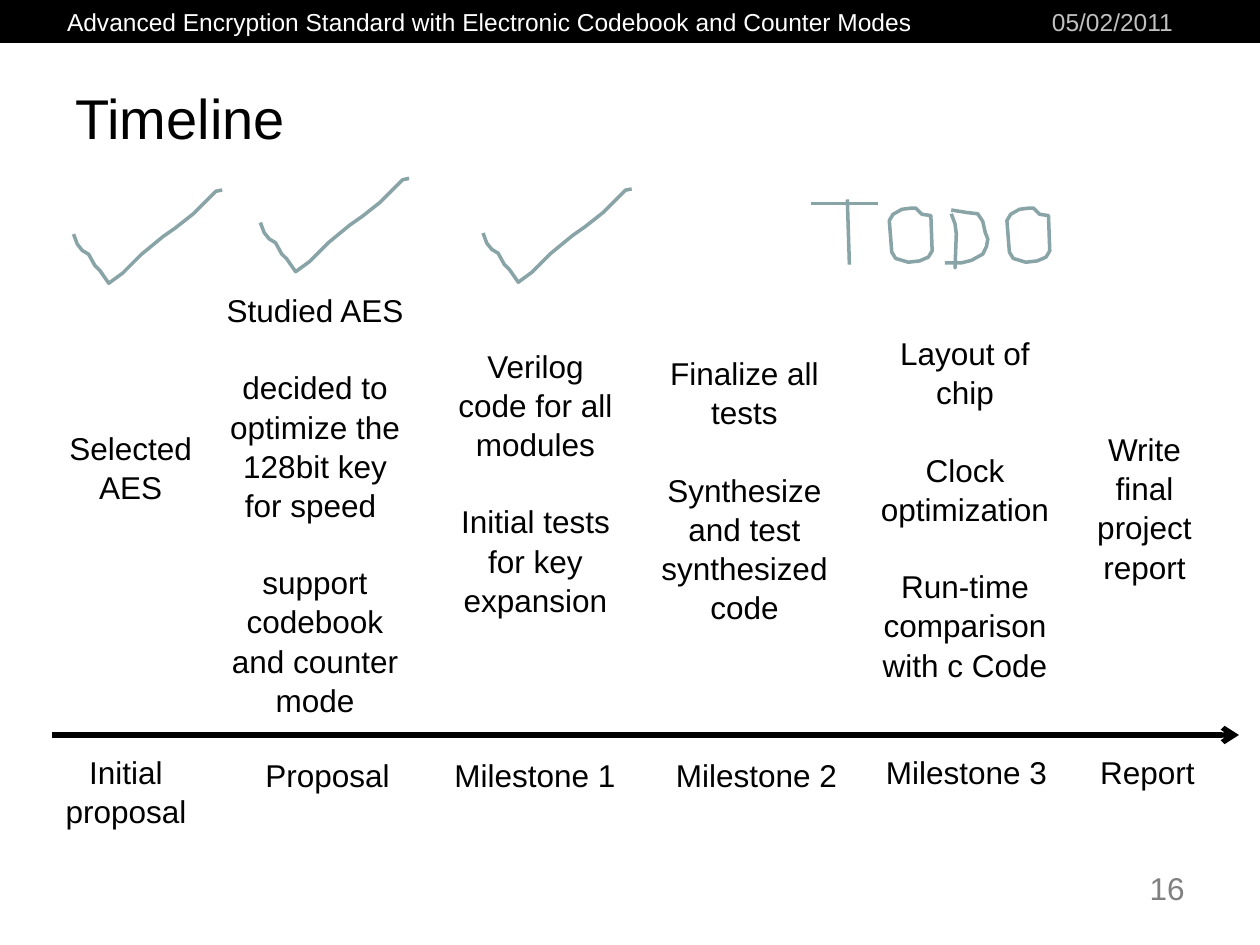
from lxml.etree import SubElement
from pptx import Presentation
from pptx.dml.color import RGBColor
from pptx.enum.shapes import MSO_CONNECTOR as Connector, MSO_SHAPE as Preset
from pptx.enum.text import MSO_ANCHOR as Anchor, MSO_AUTO_SIZE as AutoSize, PP_ALIGN as Align
from pptx.oxml.ns import qn
from pptx.util import Inches, Pt

COLORS = {"black": "000000", "white": "FFFFFF", "date": "C0C0C0",
          "number": "808080", "ink": "89A4A7"}

# Grid of 120 columns by 90 rows
WIDTH, HEIGHT = Inches(10), Inches(7.5)
COL, ROW = WIDTH / 120, HEIGHT / 90
HUNDREDTH = Inches(0.01)
LINE_SPACING = 1.04
BLANK_LINE = Pt(21.6)

# Step label: text, column, row, width
STEPS = [("Proposal", 24.1, 71.3, 14.2), ("Milestone 1", 42.1, 71.3, 17.8),
         ("Milestone 2", 63.2, 71.3, 17.8), ("Milestone 3", 83.2, 71, 17.8),
         ("Report", 103.6, 71, 11.4)]

# Work done: paragraphs, column, row, width, height
TASKS = [
    (["Initial proposal"], 5, 71, 14, 8.4),
    (["Selected AES"], 5, 40.1, 14.9, 8.4),
    (["Studied AES ", "decided to optimize the 128bit key for speed ",
      "support codebook and counter mode"], 20, 27, 20, 40.8),
    (["Verilog code for all modules", "Initial tests for key expansion"],
     42, 32.3, 18, 26.4),
    (["Finalize all tests", "Synthesize and test synthesized code"],
     61, 33, 19.8, 26.4),
    (["Layout of chip", "Clock optimization", "Run-time comparison with c Code"],
     82, 31.1, 19.8, 33.6),
    (["Write final project report"], 102, 40.2, 14, 15.6),
]

# Handwritten strokes, in hundredths of an inch
CHECK = [(0, 35), (3, 43), (7, 48), (12, 51), (17, 60), (21, 64), (28, 74), (39, 66),
         (49, 56), (54, 51), (71, 37), (81, 30), (95, 19), (108, 6), (113, 1), (118, 0)]
LETTER_O = [(18, 1), (10, 2), (3, 6), (0, 11), (2, 36), (5, 41), (15, 44),
            (24, 43), (31, 40), (34, 35), (33, 7), (26, 6), (21, 1), (18, 1)]
D_STEM = [(5, 3), (8, 11), (9, 19), (8, 46), (8, 41)]
D_BOWL = [(5, 0), (17, 2), (26, 3), (30, 9), (32, 18), (34, 23), (33, 29),
          (30, 35), (21, 40), (13, 42), (0, 42)]
STROKES = [(CHECK, 7, 18.1), (CHECK, 24.8, 17), (CHECK, 46, 18),
           (LETTER_O, 84.7, 19.7), (D_STEM, 90, 20), (D_BOWL, 90, 20),
           (LETTER_O, 95.9, 19.7)]


def rgb(name):
    return RGBColor.from_string(COLORS[name])


def apply(target, values):
    for name, value in values.items():
        setattr(target, name, value)


def add_text(slide, paragraphs, col, row, width, height, size=18, color="black",
             align=Align.LEFT, **frame_format):
    box = slide.shapes.add_textbox(round(col * COL), round(row * ROW),
                                   round(width * COL), round(height * ROW))
    frame = box.text_frame
    apply(frame, {"word_wrap": True, "auto_size": AutoSize.NONE, **frame_format})
    for index, text in enumerate(paragraphs):
        paragraph = frame.add_paragraph() if index else frame.paragraphs[0]
        apply(paragraph, {"alignment": align, "line_spacing": LINE_SPACING,
                          "space_before": BLANK_LINE if index else Pt(0)})
        run = paragraph.add_run()
        run.text = text
        apply(run.font, {"name": "Arial", "size": Pt(size)})
        run.font.color.rgb = rgb(color)


def add_line(slide, start, end, color, width, arrow=False):
    (x1, y1), (x2, y2) = start, end
    line = slide.shapes.add_connector(Connector.STRAIGHT, round(x1 * COL), round(y1 * ROW),
                                      round(x2 * COL), round(y2 * ROW))
    line.line.width = Pt(width)
    line.line.color.rgb = rgb(color)
    if arrow:
        SubElement(line.line._get_or_add_ln(), qn("a:tailEnd"), type="arrow")
    SubElement(line._element.spPr, qn("a:effectLst"))


def add_stroke(slide, points, col, row):
    builder = slide.shapes.build_freeform(*points[0], scale=HUNDREDTH)
    builder.add_line_segments(points[1:], close=points[0] == points[-1])
    stroke = builder.convert_to_shape(round(col * COL), round(row * ROW))
    stroke.shadow.inherit = False
    stroke.fill.background()
    stroke.line.width = Pt(2)
    stroke.line.color.rgb = rgb("ink")


def add_header(slide):
    band = slide.shapes.add_shape(Preset.RECTANGLE, 0, 0, WIDTH, round(4 * ROW))
    band.shadow.inherit = False
    band.fill.solid()
    band.fill.fore_color.rgb = band.line.color.rgb = rgb("black")
    band.line.width = Pt(0.75)
    add_text(slide, ["Advanced Encryption Standard with Electronic Codebook and Counter Modes"],
             5.2, 0, 82.9, 4.1, 14, "white", word_wrap=False)
    add_text(slide, ["05/02/2011"], 99, 0, 15, 3, 14, "date")


def main():
    deck = Presentation()
    apply(deck, {"slide_width": WIDTH, "slide_height": HEIGHT})
    slide = deck.slides.add_slide(deck.slide_layouts[6])

    # Header, title and page number
    add_header(slide)
    add_text(slide, ["Timeline"], 6, 6, 108, 10, 32, vertical_anchor=Anchor.MIDDLE)
    add_text(slide, ["16"], 102, 82, 12, 5.3, color="number", align=Align.RIGHT)

    # Time axis with its steps and tasks
    add_line(slide, (5, 70), (118, 70), "black", 3, arrow=True)
    for label, col, row, width in STEPS:
        add_text(slide, [label], col, row, width, 4.8, word_wrap=False,
                 auto_size=AutoSize.SHAPE_TO_FIT_TEXT)
    for paragraphs, *place in TASKS:
        add_text(slide, paragraphs, *place, align=Align.CENTER,
                 auto_size=AutoSize.SHAPE_TO_FIT_TEXT)

    # Check marks and the handwritten TODO
    for points, col, row in STROKES:
        add_stroke(slide, points, col, row)
    add_line(slide, (80.7, 19), (80.9, 25.2), "ink", 2)
    add_line(slide, (77.2, 19.4), (83.6, 19.4), "ink", 2)

    deck.save("out.pptx")


if __name__ == "__main__":
    main()
